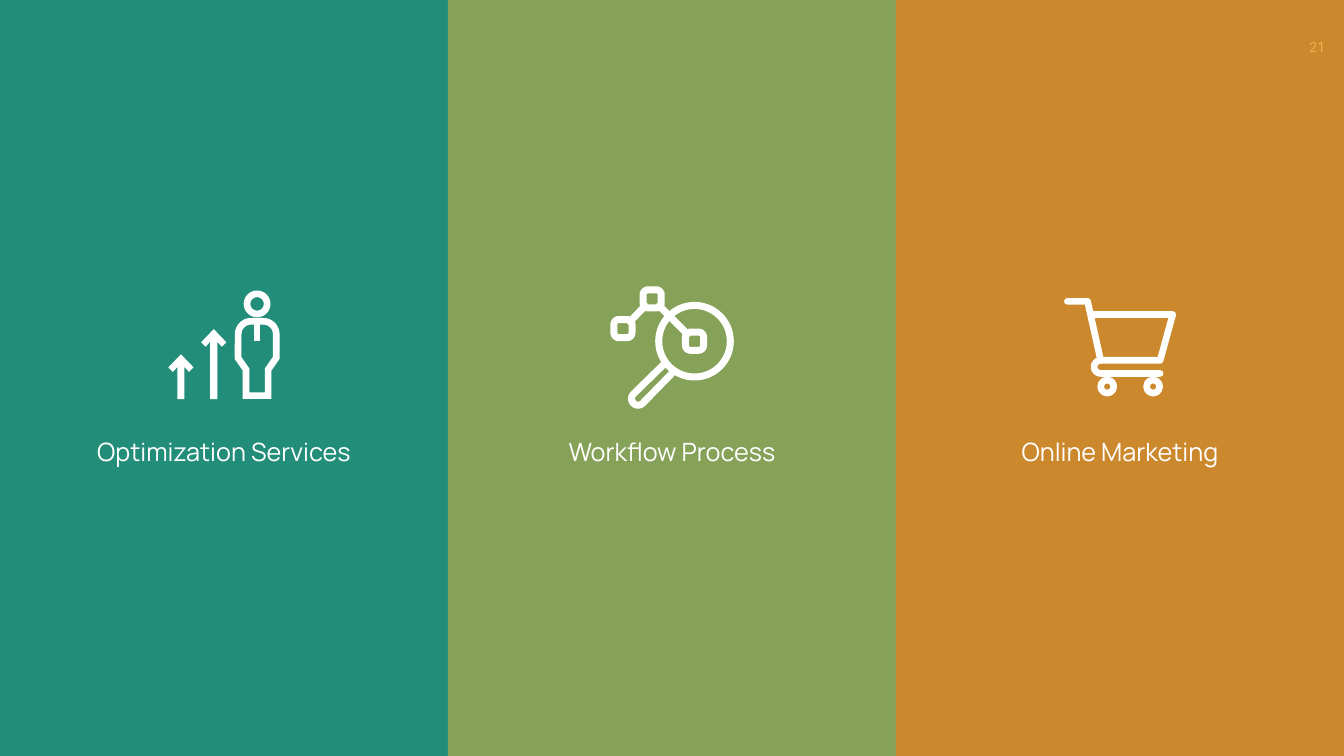
from dataclasses import dataclass
from math import cos, radians, sin

from lxml.etree import SubElement
from pptx import Presentation
from pptx.dml.color import RGBColor
from pptx.enum.shapes import MSO_CONNECTOR, MSO_SHAPE
from pptx.enum.text import MSO_ANCHOR, PP_ALIGN
from pptx.oxml.ns import qn
from pptx.util import Inches, Pt


@dataclass(frozen=True)
class Theme:
    back: str = "363D48"
    teal: str = "1EA185"
    green: str = "9BBB5C"
    gold: str = "F29B26"
    white: str = "FFFFFF"
    alpha: int = 80
    label: int = 36
    page: int = 20
    thin: float = 9.5
    thick: float = 10


THEME = Theme()
WIDE, HIGH = 26.66, 15


def paint(fill, tone):
    fill.solid()
    fill.fore_color.rgb = RGBColor.from_string(tone)


def ink(shape, size, join="round"):
    shape.line.width = Pt(size)
    paint(shape.line.fill, THEME.white)
    line = shape.line._ln
    if join == "round":
        line.set("cap", "rnd")
        SubElement(line, qn("a:round"))
    else:
        line.set("cap", "flat")
        SubElement(line, qn("a:miter"), lim="800000")


def outline(shape, size, join="round"):
    shape.fill.background()
    ink(shape, size, join)
    shape.shadow.inherit = False


def trace(slide, box, *paths):
    left, top = box[:2]
    form = None
    for dots, close in paths:
        dots = [(Inches(left + x), Inches(top + y)) for x, y in dots]
        if form is None:
            form = slide.shapes.build_freeform(*dots[0], scale=1.0)
        else:
            form.move_to(*dots[0])
        form.add_line_segments(dots[1:], close=close)
    return form.convert_to_shape()


def arc(x, y, size, start, end, steps=12):
    turns = [radians(start + (end - start) * i / steps) for i in range(steps + 1)]
    return [(x + size * cos(t), y + size * sin(t)) for t in turns]


def node(x, y, half=0.18, bend=0.1):
    flat = half - bend
    signs = [(1, 1), (-1, 1), (-1, -1), (1, -1)]
    return [dot for i, (h, v) in enumerate(signs)
            for dot in arc(x + h * flat, y + v * flat, bend, 90 * i, 90 * i + 90)]


def ring(slide, box, x, y, size, weight):
    left, top = box[:2]
    shape = slide.shapes.add_shape(
        MSO_SHAPE.OVAL, Inches(left + x - size), Inches(top + y - size),
        Inches(2 * size), Inches(2 * size))
    outline(shape, weight)


def link(slide, box, start, end, weight):
    left, top = box[:2]
    line = slide.shapes.add_connector(
        MSO_CONNECTOR.STRAIGHT, Inches(left + start[0]), Inches(top + start[1]),
        Inches(left + end[0]), Inches(top + end[1]))
    ink(line, weight, "miter")
    SubElement(line._element.spPr, qn("a:effectLst"))


def arrow(slide, box, x, top, base):
    half = [(0.25, top + 0.26), (0.16, top + 0.35), (0.07, top + 0.25), (0.07, base)]
    right = [(x + dx, y) for dx, y in half]
    left = [(x - dx, y) for dx, y in reversed(half)]
    shape = trace(slide, box, ([(x, top)] + right + left, True))
    paint(shape.fill, THEME.white)
    shape.line.fill.background()
    shape.shadow.inherit = False


def person(slide, box):
    size = THEME.thin
    body = (arc(4.98, 6.63, 0.255, 180, 270) + arc(5.225, 6.63, 0.255, 270, 360)
            + [(5.48, 7.1), (5.32, 7.33), (5.32, 7.85),
               (4.88, 7.85), (4.88, 7.33), (4.72, 7.1)])
    outline(trace(slide, box, (body, True)), size, "miter")
    link(slide, box, (5.1, 6.38), (5.1, 6.77), size)
    ring(slide, box, 5.1, 6.03, 0.2, size)
    arrow(slide, box, 4.24, 6.53, 7.92)
    arrow(slide, box, 3.59, 7.03, 7.92)


def lens(slide, box):
    glass = arc(4.89, 6.77, 0.71, 0, 360, 72)
    grip = [(4.27, 7.24)] + arc(3.77, 7.91, 0.13, 225, 45) + [(4.44, 7.41)]
    nodes = [node(x, y) for x, y in [(4.05, 5.93), (3.47, 6.52), (4.89, 6.77)]]
    links = [[(3.61, 6.38), (3.91, 6.07)], [(4.19, 6.07), (4.75, 6.63)]]
    loops = [(dots, True) for dots in [glass] + nodes]
    lines = [(dots, False) for dots in [grip] + links]
    outline(trace(slide, box, *loops, *lines), THEME.thick)


def cart(slide, box):
    size = THEME.thin
    frame = [(3.4, 5.98), (3.8, 5.98), (4.06, 7.15),
             (5.24, 7.15), (5.49, 6.24), (3.88, 6.24)]
    base = arc(4.06, 7.28, 0.13, 270, 90) + [(5.24, 7.41)]
    outline(trace(slide, box, (frame, False), (base, False)), size)
    for x in (4.19, 5.1):
        ring(slide, box, x, 7.67, 0.13, size)


def write(slide, box, text, face, size):
    area = slide.shapes.add_textbox(*map(Inches, box))
    frame = area.text_frame
    frame.word_wrap = False
    frame.vertical_anchor = MSO_ANCHOR.MIDDLE
    para = frame.paragraphs[0]
    para.text = text
    para.alignment = PP_ALIGN.CENTER
    para.font.name = face
    para.font.size = Pt(size)
    para.font.color.rgb = RGBColor.from_string(THEME.white)


def panel(slide, box, tone, icon, text):
    left, top, width, _ = box
    shape = slide.shapes.add_shape(MSO_SHAPE.RECTANGLE, *map(Inches, box))
    paint(shape.fill, tone)
    color = shape.fill._xPr.find(qn("a:solidFill"))[0]
    SubElement(color, qn("a:alpha"), val=str(THEME.alpha * 1000))
    shape.line.fill.background()
    shape.shadow.inherit = False
    icon(slide, box)
    write(slide, (left, top + 8.6, width, 0.71), text, "Manrope", THEME.label)


def main():
    deck = Presentation()
    deck.slide_width, deck.slide_height = Inches(WIDE), Inches(HIGH)
    slide = deck.slides.add_slide(deck.slide_layouts[6])
    paint(slide.background.fill, THEME.back)
    write(slide, (25.63, 0.67, 1, 0.54), "21", "Roboto", THEME.page)
    parts = [
        (THEME.teal, person, "Optimization Services"),
        (THEME.green, lens, "Workflow Process"),
        (THEME.gold, cart, "Online Marketing"),
    ]
    width = WIDE / len(parts)
    for i, part in enumerate(parts):
        panel(slide, (i * width, 0, width, HIGH), *part)
    deck.save("out.pptx")


if __name__ == "__main__":
    main()
